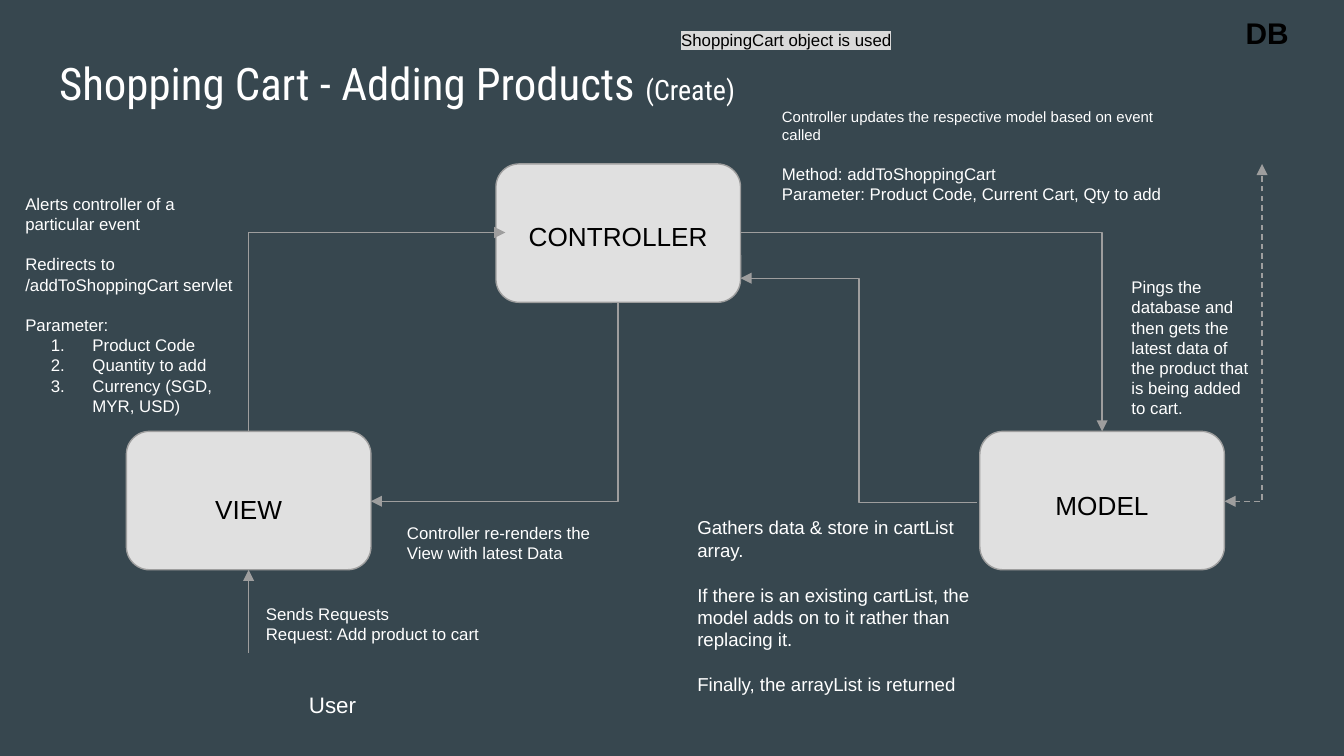
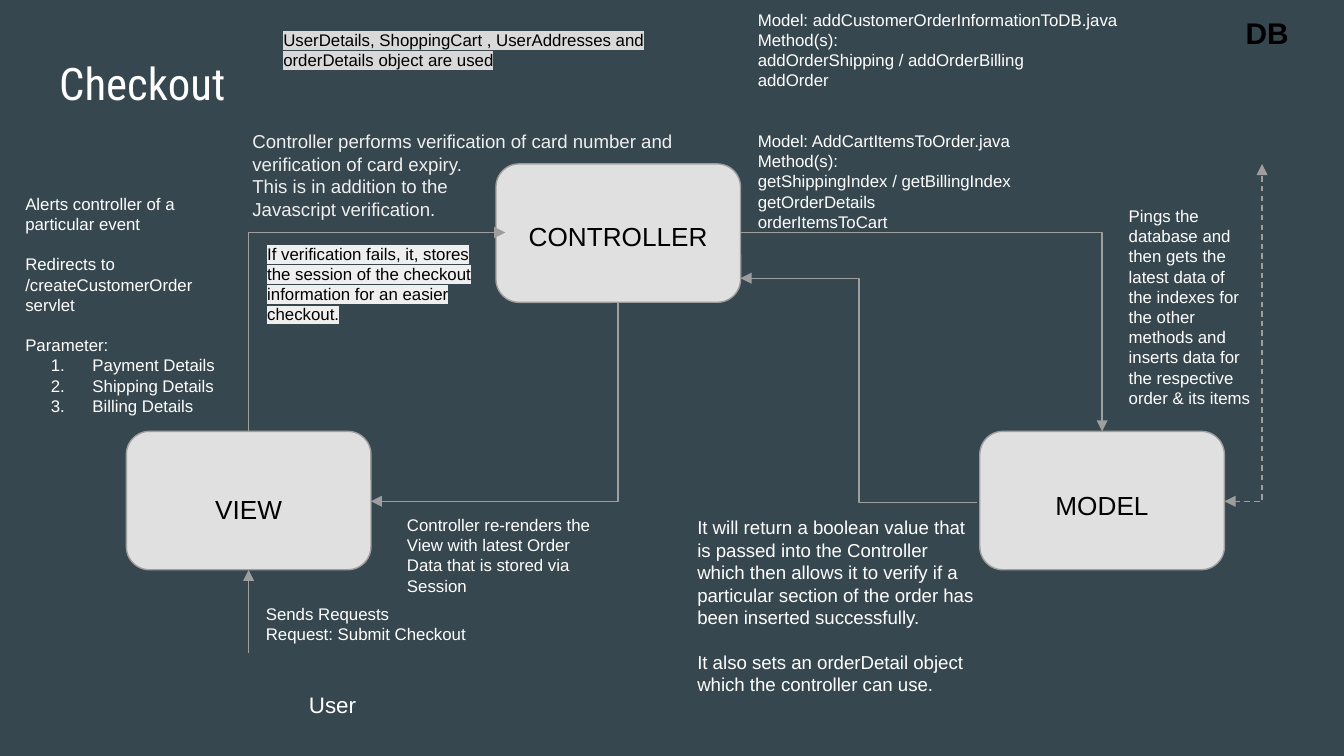
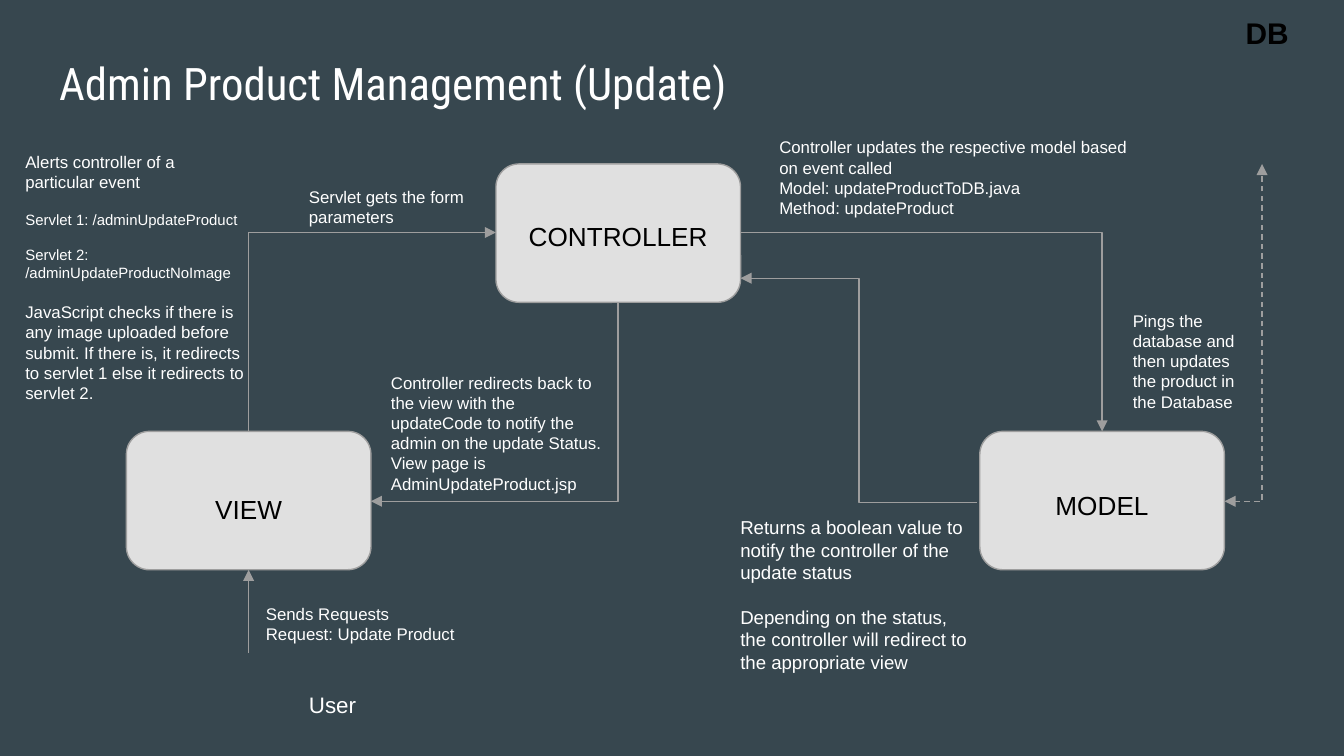
from lxml import etree
from pptx import Presentation
from pptx import util as u
from pptx.dml.color import RGBColor
from pptx.enum import dml, shapes, text
from pptx.oxml.ns import qn

COLORS = {
    "slate": "37474F", "white": "FFFFFF", "mist": "EFEFEF", "black": "000000",
    "node": "E0E0E0", "line": "9E9E9E", "marker": "D9D9D9",
}
COLUMNS, ROWS = 100, 56.25
TITLE_ONLY = 5
NODES = {"VIEW": (9.4, 32.1), "CONTROLLER": (36.9, 12.2), "MODEL": (72.9, 32.1)}
LABELS = {"VIEW": (10.1, 35.7), "CONTROLLER": (37.6, 15.4), "MODEL": (73.6, 35.4)}


def color(name):
    return RGBColor.from_string(COLORS[name])


class FlowDeck:
    """Holds the style and the current slide; places are (column, row, width, height)."""

    def __init__(self):
        self.deck = Presentation()
        self.deck.slide_width, self.deck.slide_height = u.Inches(10), u.Inches(5.625)
        fill = self.deck.slide_master.background.fill
        fill.solid()
        fill.fore_color.rgb = color("slate")
        self.page = None

    def grid(self, *place):
        """Turn alternating columns and rows into slide lengths."""
        units = (self.deck.slide_width / COLUMNS, self.deck.slide_height / ROWS)
        return [u.Emu(round(n * units[i % 2])) for i, n in enumerate(place)]

    def new_page(self, title, suffix=""):
        self.page = self.deck.slides.add_slide(self.deck.slide_layouts[TITLE_ONLY])
        box = self.page.shapes.title
        box.left, box.top, box.width, box.height = self.grid(3.4, 3, 93.2, 6.3)
        frame = self.prepare(box)
        frame.vertical_anchor = text.MSO_ANCHOR.MIDDLE
        para = frame.paragraphs[0]
        para.alignment = text.PP_ALIGN.LEFT
        for words, size in ((title, 24), (suffix, 15)):
            if words:
                span = para.add_run()
                span.text = words
                self.style(span, size, "white", font="Roboto Condensed")

    def prepare(self, box):
        frame = box.text_frame
        frame.word_wrap = True
        frame.auto_size = text.MSO_AUTO_SIZE.NONE
        frame.margin_left = frame.margin_right = u.Inches(0.1)
        frame.margin_top = frame.margin_bottom = u.Inches(0.1)
        return frame

    def style(self, span, size, ink, bold=False, marker=None, font="Arial"):
        span.font.name, span.font.size, span.font.bold = font, u.Pt(size), bold
        span.font.color.rgb = color(ink)
        if marker:
            highlight = etree.Element(qn("a:highlight"))
            etree.SubElement(highlight, qn("a:srgbClr")).set("val", COLORS[marker])
            span.font._element.find(qn("a:solidFill")).addnext(highlight)

    def number(self, para):
        props = para._p.get_or_add_pPr()
        props.set("marL", str(u.Inches(0.5)))
        props.set("indent", str(u.Inches(-0.31)))
        tint = etree.SubElement(props, qn("a:buClr"))
        etree.SubElement(tint, qn("a:srgbClr")).set("val", COLORS["white"])
        etree.SubElement(props, qn("a:buAutoNum")).set("type", "arabicPeriod")

    def note(self, place, *blocks, size=9, ink="white", marker=None, bold=False,
             center=False, gap=1, steps=()):
        """Write blocks set apart by `gap` lines, then numbered steps.

        A block is its lines, or a pair of its lines and their own size.
        """
        lines = []
        for block in blocks:
            words, points = block if isinstance(block, tuple) else (block, size)
            for i, line in enumerate(words.split("\n")):
                lines.append((line, points, i == 0 and bool(lines), False))
        lines += [(step, size, False, True) for step in steps]

        box = self.page.shapes.add_textbox(*self.grid(*place))
        frame = self.prepare(box)
        frame.text = "\n".join(line[0] for line in lines)
        for para, (_, points, spaced, numbered) in zip(frame.paragraphs, lines):
            if center:
                para.alignment = text.PP_ALIGN.CENTER
            if spaced:
                para.space_before = u.Pt(round(1.2 * points * gap, 1))
            if numbered:
                self.number(para)
            self.style(para.runs[0], points, ink, bold, marker)

    def node(self, name):
        shape = self.page.shapes.add_shape(
            shapes.MSO_SHAPE.ROUNDED_RECTANGLE, *self.grid(*NODES[name], 18.2, 10.3))
        shape.shadow.inherit = False
        shape.fill.solid()
        shape.fill.fore_color.rgb = color("node")
        shape.line.color.rgb = color("line")
        shape.line.width = u.Pt(0.75)

    def arrow(self, start, end, ends=("tailEnd",), dashed=False,
              kind=shapes.MSO_CONNECTOR.STRAIGHT):
        line = self.page.shapes.add_connector(kind, *self.grid(*start, *end))
        line.line.color.rgb = color("line")
        line.line.width = u.Pt(0.75)
        if dashed:
            line.line.dash_style = dml.MSO_LINE.DASH
        props = line._element.spPr
        for name in ends:
            etree.SubElement(props.find(qn("a:ln")), qn("a:" + name)).set("type", "triangle")
        etree.SubElement(props, qn("a:effectLst"))
        return line

    def elbow(self, start, end, corners=1, upright=False, **look):
        """Draw a bent arrow; an upright one leaves its start vertically."""
        line = self.arrow(start, end, kind=shapes.MSO_CONNECTOR.ELBOW, **look)
        props = line._element.spPr
        props.find(qn("a:prstGeom")).set("prst", f"bentConnector{corners + 1}")
        frame = props.find(qn("a:xfrm"))
        rising, leftward = end[1] < start[1], end[0] < start[0]
        if not rising:
            return
        for flip in ("flipH", "flipV"):
            frame.attrib.pop(flip, None)
        if upright:
            shift = (line.width - line.height) // 2
            line.left, line.top = line.left + shift, line.top - shift
            line.width, line.height = line.height, line.width
        elif not leftward:
            frame.set("flipH", "1")
        frame.set("rot", str((270 if upright else 180) * 60000))

    def flow(self, request, alert_end=37.6):
        """Draw the nodes, arrows and labels that every page has."""
        for name in NODES:
            self.node(name)
        for name, corner in LABELS.items():
            self.note((*corner, 16.8, 3.8), name, size=14, ink="black", center=True)
        self.note((91.7, 0.1, 6.7, 2.4), "DB", size=16, ink="black", bold=True)
        self.arrow((18.5, 48.6), (18.5, 42.4))
        self.elbow((18.5, 32.1), (alert_end, 17.3), upright=True)
        self.elbow((55.1, 17.3), (82, 32.1))
        self.elbow((72.7, 37.4), (55.1, 20.7), corners=2)
        self.elbow((91.1, 37.3), (93.9, 12.2), ends=("headEnd", "tailEnd"), dashed=True)
        self.elbow((27.6, 37.3), (46, 22.5), ends=("headEnd",))
        self.note((22, 50.4, 16.8, 3.4), "User", size=12)
        self.note((18.8, 43.9, 33.4, 4.6), f"Sends Requests\nRequest: {request}")


def adding_products(flow):
    flow.new_page("Shopping Cart - Adding Products ", "(Create)")
    flow.flow("Add product to cart")
    flow.note((0.9, 13.4, 17.6, 16.7), "Alerts controller of a particular event",
              "Redirects to\n/addToShoppingCart servlet", "Parameter:",
              steps=("Product Code", "Quantity to add", "Currency (SGD, MYR, USD)"))
    flow.note((57.2, 7, 31.7, 9.8),
              ("Controller updates the respective model based on event called", 8),
              "Method: addToShoppingCart\nParameter: Product Code, Current Cart, Qty to add")
    flow.note((50.9, 37.4, 22.6, 15.5), "Gathers data & store in cartList array.",
              "If there is an existing cartList, the model adds on to it rather than "
              "replacing it.", "Finally, the arrayList is returned", size=10)
    flow.note((29.3, 37.9, 16.7, 4.2), "Controller re-renders the\nView with latest Data")
    flow.note((83.2, 19.6, 11.2, 11.3), "Pings the database and then gets the latest "
              "data of the product that is being added to cart.")
    flow.note((49.7, 1.2, 25, 3.8), "ShoppingCart object is used",
              ink="black", marker="marker")


def checkout(flow):
    flow.new_page("Checkout")
    flow.flow("Submit Checkout")
    flow.note((0.9, 13.4, 17.6, 18.1), "Alerts controller of a particular event",
              "Redirects to\n/createCustomerOrder servlet", "Parameter:",
              steps=("Payment Details", "Shipping Details", "Billing Details"))
    flow.note((55.4, -0.3, 33.7, 18.1),
              "Model: addCustomerOrderInformationToDB.java\nMethod(s):\n"
              "addOrderShipping / addOrderBilling\naddOrder",
              "Model: AddCartItemsToOrder.java\nMethod(s):\n"
              "getShippingIndex / getBillingIndex\ngetOrderDetails\norderItemsToCart", gap=2)
    flow.note((50.9, 37.4, 22.6, 16.1),
              "It will return a boolean value that is passed into the Controller which then "
              "allows it to verify if a particular section of the order has been inserted "
              "successfully.",
              "It also sets an orderDetail object which the controller can use.", size=10)
    flow.note((29.3, 37.3, 16.7, 4.2), "Controller re-renders the\n"
              "View with latest Order Data that is stored via Session")
    flow.note((83, 14.3, 11.2, 16.1), "Pings the database and then gets the latest data of "
              "the indexes for the other methods and inserts data for the respective order "
              "& its items")
    flow.note((17.8, 8.7, 33.7, 8.7),
              "Controller performs verification of card number and verification of card "
              "expiry.\nThis is in addition to the\nJavascript verification.",
              size=10, ink="mist")
    flow.note((18.9, 17.1, 17.6, 3.8), "If verification fails, it, stores the session of "
              "the checkout information for an easier checkout.", ink="black", marker="mist")
    flow.note((20.1, 1.2, 33.4, 6.3), "UserDetails, ShoppingCart , UserAddresses and "
              "orderDetails object are used", ink="black", marker="marker")


def product_management(flow):
    flow.new_page("Admin Product Management (Update)")
    flow.flow("Update Product", alert_end=36.9)
    flow.note((0.9, 10.3, 18.4, 20.7), "Alerts controller of a particular event",
              ("Servlet 1: /adminUpdateProduct", 8),
              ("Servlet 2:\n/adminUpdateProductNoImage", 8),
              "JavaScript checks if there is any image uploaded before submit. If there is, "
              "it redirects to servlet 1 else it redirects to servlet 2.")
    flow.note((57, 9.2, 29.4, 7.1),
              "Controller updates the respective model based on event called\n"
              "Model: updateProductToDB.java\nMethod: updateProduct")
    flow.note((54.1, 37.4, 19.6, 14.8),
              "Returns a boolean value to notify the controller of the update status",
              "Depending on the status, the controller will redirect to the appropriate view",
              size=10)
    flow.note((28.1, 26.7, 18.2, 7.4), "Controller redirects back to the view with the "
              "updateCode to notify the admin on the update Status. View page is "
              "AdminUpdateProduct.jsp")
    flow.note((83.3, 22.1, 11.2, 8.5),
              "Pings the database and then updates the product in the Database")
    flow.note((22, 12.9, 15.6, 2.9), "Servlet gets the form parameters")


def main():
    flow = FlowDeck()
    for build in (adding_products, checkout, product_management):
        build(flow)
    flow.deck.save("out.pptx")


if __name__ == "__main__":
    main()
